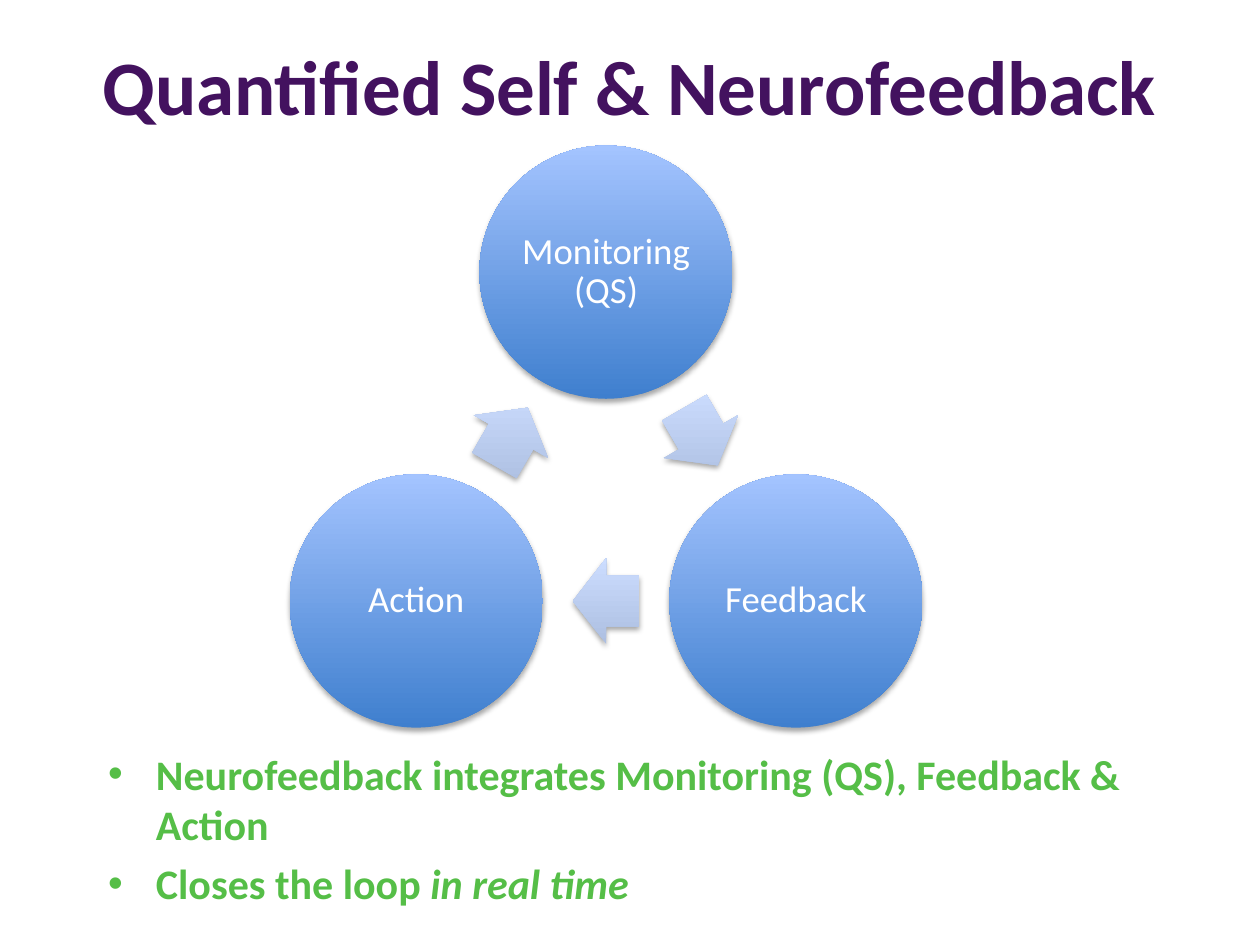
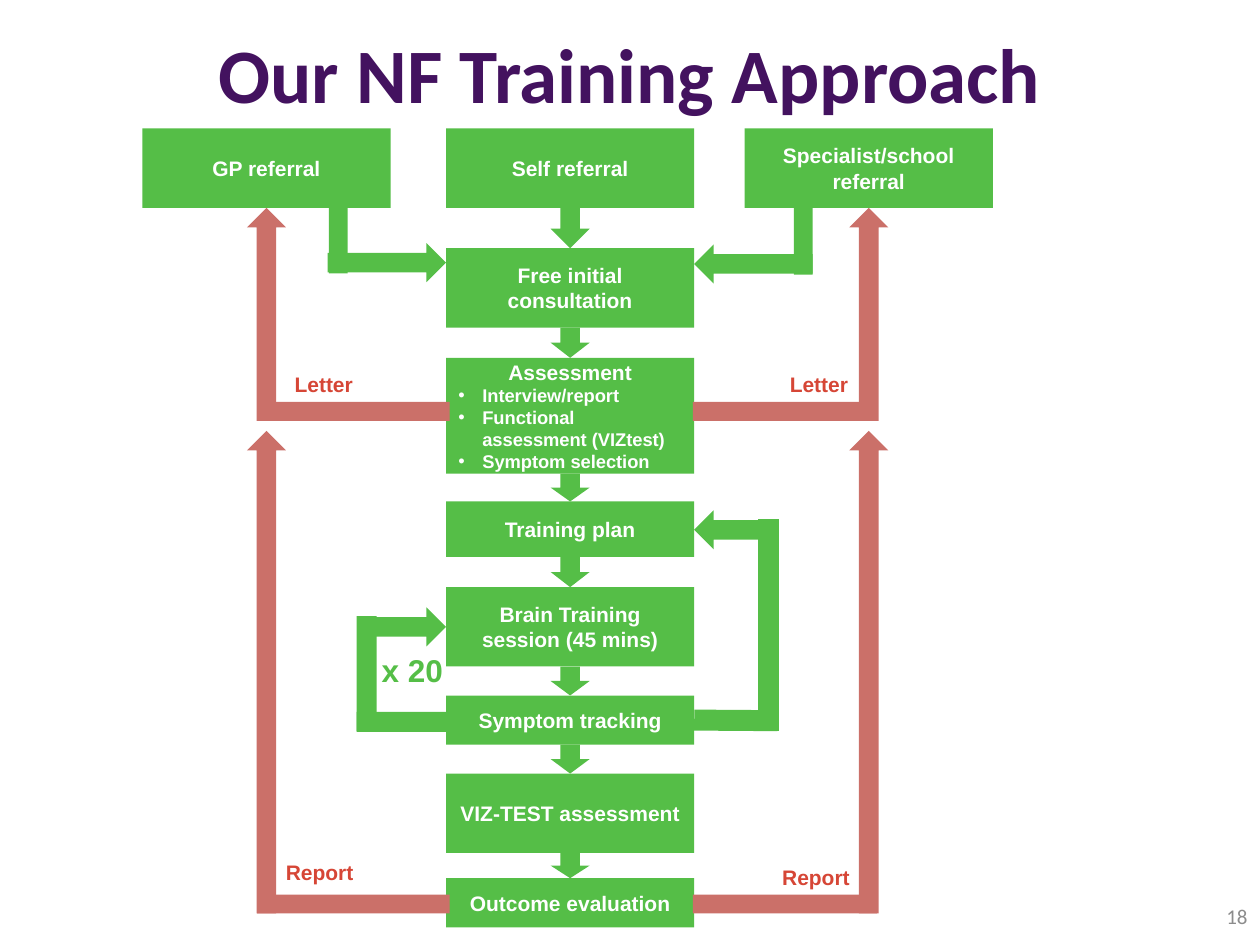
from math import cos, radians, sin

from lxml.etree import SubElement
from pptx import Presentation
from pptx.dml.color import RGBColor
from pptx.enum.shapes import MSO_CONNECTOR, MSO_SHAPE
from pptx.enum.text import MSO_ANCHOR, PP_ALIGN
from pptx.oxml.ns import qn
from pptx.util import Inches, Pt

COLUMNS, ROWS = 10, 7.5
CELL = Inches(1)
PURPLE, GREEN, WHITE, GREY = "43125F", "55BE47", "FFFFFF", "8C8C8C"
LOOP_RED, LABEL_RED = "CB7069", "D64636"
CIRCLE_GRADIENT = ("3F7FCE", "A4C4FF")
ARROW_GRADIENT = ("ADBFE1", "CCDDFF")
BOX_WIDTH, BOX_LEFT, BOX_RIGHT = 1.97, 3.54, 5.51
ARROW_WIDTH, BAR = 0.31, 0.15


def color(value):
    """Return the colour for a hex string."""
    return RGBColor.from_string(value)


def cells(*lengths):
    """Turn grid cells into slide lengths."""
    return [round(length * CELL) for length in lengths]


def style(paragraph, size, hex_color, font="Arial", bold=True, align=PP_ALIGN.CENTER):
    """Format one paragraph and its runs."""
    paragraph.alignment = align
    for run in paragraph.runs:
        run.font.name = font
        run.font.size = Pt(size)
        run.font.bold = bold
        run.font.color.rgb = color(hex_color)


def write(shape, lines, *look, **options):
    """Fill a shape with equally styled, vertically centred paragraphs."""
    frame = shape.text_frame
    frame.word_wrap = True
    frame.vertical_anchor = MSO_ANCHOR.MIDDLE
    frame.text = lines
    for paragraph in frame.paragraphs:
        style(paragraph, *look, **options)


def add_bullet(paragraph, indent):
    """Give a paragraph a hanging round bullet."""
    properties = paragraph._p.get_or_add_pPr()
    properties.set("marL", str(Inches(indent)))
    properties.set("indent", str(-Inches(indent)))
    SubElement(properties, qn("a:buFont")).set("typeface", "Arial")
    SubElement(properties, qn("a:buChar")).set("char", "•")


def add_text(slide, area, text, *look, **options):
    """Add a wrapped text box."""
    box = slide.shapes.add_textbox(*cells(*area))
    write(box, text, *look, **options)
    return box


def add_title(slide, text, top):
    """Add the slide title."""
    add_text(slide, (0.5, top, COLUMNS - 1, 1.25), text, 44, PURPLE, "Calibri")


def add_label(slide, area, text, size, hex_color):
    """Add a short label that keeps to one line."""
    label = add_text(slide, area, text, size, hex_color, align=PP_ALIGN.LEFT)
    label.text_frame.word_wrap = False
    label.text_frame.vertical_anchor = MSO_ANCHOR.TOP


def add_solid(slide, kind, area, hex_color=GREEN):
    """Add a flat preset shape without outline."""
    shape = slide.shapes.add_shape(kind, *cells(*area))
    shape.shadow.inherit = False
    shape.fill.solid()
    shape.fill.fore_color.rgb = color(hex_color)
    shape.line.fill.background()
    return shape


def add_glossy(slide, kind, center, size, gradient):
    """Add a preset shape with an upright gradient and a soft shadow."""
    (x, y), (width, height) = center, size
    area = cells(x - width / 2, y - height / 2, width, height)
    shape = slide.shapes.add_shape(kind, *area)
    shape.line.fill.background()
    shape.fill.gradient()
    shape.fill.gradient_angle = 90
    for stop, hex_color, position in zip(shape.fill.gradient_stops, gradient, (0, 1)):
        stop.color.rgb = color(hex_color)
        stop.position = position
    shape.shadow.inherit = False
    properties = shape._element.spPr
    properties.find(qn("a:gradFill")).set("rotWithShape", "0")
    shadow = SubElement(properties.find(qn("a:effectLst")), qn("a:outerShdw"),
                        blurRad=str(Pt(3.1)), dist=str(Pt(1.8)),
                        dir="5400000", rotWithShape="0")
    black = SubElement(shadow, qn("a:srgbClr"), val="000000")
    SubElement(black, qn("a:alpha"), val="35000")
    return shape


def add_cycle(slide, steps, center, radius):
    """Place circles on a ring with an arrow between neighbours."""
    def on_ring(angle, distance):
        return (center[0] + distance * cos(radians(angle)),
                center[1] + distance * sin(radians(angle)))

    turn = 360 / len(steps)
    for index, step in enumerate(steps):
        angle = index * turn - 90
        circle = add_glossy(slide, MSO_SHAPE.OVAL, on_ring(angle, radius),
                            (2.01, 2.01), CIRCLE_GRADIENT)
        write(circle, step, 21, WHITE, "Calibri", False)
        frame = circle.text_frame
        frame.margin_left = frame.margin_right = Inches(0.03)
        frame.margin_top = frame.margin_bottom = Inches(0.03)
        frame.paragraphs[0].line_spacing = 0.9
        middle = angle + turn / 2
        arrow = add_glossy(slide, MSO_SHAPE.RIGHT_ARROW, on_ring(middle, radius / 2),
                           (0.53, 0.68), ARROW_GRADIENT)
        arrow.adjustments[0], arrow.adjustments[1] = 0.6, 0.5
        arrow.rotation = middle + 90


def add_takeaways(slide):
    """Add the bulleted conclusions below the cycle."""
    box = add_text(slide, (0.76, 5.89, 9, 1.47),
                   "Neurofeedback integrates Monitoring (QS), Feedback & Action\n"
                   "Closes the loop ", 24, GREEN, "Calibri")
    box.text_frame.vertical_anchor = MSO_ANCHOR.TOP
    closing = box.text_frame.paragraphs[1]
    emphasis = closing.add_run()
    emphasis.text = "in real time"
    emphasis.font.italic = True
    closing.space_before = Pt(4.8)
    for paragraph in box.text_frame.paragraphs:
        add_bullet(paragraph, 0.38)
        style(paragraph, 24, GREEN, "Calibri", align=PP_ALIGN.LEFT)


def add_box(slide, text, top, height, left=BOX_LEFT):
    """Add a labelled flowchart box."""
    box = add_solid(slide, MSO_SHAPE.RECTANGLE, (left, top, BOX_WIDTH, height))
    write(box, text, 12, WHITE)
    return box


def add_flow(slide, steps):
    """Stack the boxes, joined by down arrows, and return them."""
    boxes = [add_box(slide, *step) for step in steps]
    left = BOX_LEFT + (BOX_WIDTH - ARROW_WIDTH) / 2
    for (_, top, height), (_, next_top, _) in zip(steps, steps[1:]):
        bottom = top + height
        add_solid(slide, MSO_SHAPE.DOWN_ARROW,
                  (left, bottom, ARROW_WIDTH, next_top - bottom))
    return boxes


def add_red_loop(slide, arrow_left, bar_left, bar_width, top, bottom):
    """Add a bar leaving the flow and a red arrow going up."""
    add_solid(slide, MSO_SHAPE.UP_ARROW,
              (arrow_left, top, ARROW_WIDTH, bottom - top), LOOP_RED)
    add_solid(slide, MSO_SHAPE.RECTANGLE,
              (bar_left, bottom - BAR, bar_width, BAR), LOOP_RED)


def add_thick_line(slide, start, end):
    """Add a thick green connector."""
    line = slide.shapes.add_connector(MSO_CONNECTOR.STRAIGHT, *cells(*start, *end))
    line.line.color.rgb = color(GREEN)
    line.line.width = Pt(12)
    SubElement(line._element.spPr, qn("a:effectLst"))
    return line


def build_cycle_slide(slide):
    """Build the neurofeedback cycle."""
    add_title(slide, "Quantified Self & Neurofeedback", 0.05)
    add_cycle(slide, ["Monitoring (QS)", "Feedback", "Action"], (4.81, 3.9), 1.74)
    add_takeaways(slide)


def build_training_slide(slide):
    """Build the training flowchart."""
    add_title(slide, "Our NF Training Approach", -0.05)
    add_box(slide, "GP referral", 1.02, 0.63, 1.13)
    add_box(slide, "Specialist/school\nreferral", 1.02, 0.63, 5.91)
    boxes = add_flow(slide, [
        ("Self referral", 1.02, 0.63),
        ("Free initial consultation", 1.97, 0.63),
        ("Assessment\nInterview/report\nFunctional assessment (VIZtest)\n"
         "Symptom selection", 2.84, 0.92),
        ("Training plan", 3.98, 0.44),
        ("Brain Training session (45 mins)", 4.66, 0.63),
        ("Symptom tracking", 5.52, 0.39),
        ("VIZ-TEST assessment", 6.14, 0.63),
        ("Outcome evaluation", 6.97, 0.39),
    ])
    for paragraph in boxes[2].text_frame.paragraphs[1:]:
        add_bullet(paragraph, 0.19)
        style(paragraph, 10.5, WHITE, align=PP_ALIGN.LEFT)

    right, left = MSO_SHAPE.RIGHT_ARROW, MSO_SHAPE.LEFT_ARROW
    for kind, x, y, length in ((right, 2.6, 1.93, 0.94), (left, BOX_RIGHT, 1.94, 0.94),
                               (right, 2.91, 4.82, 0.63), (left, BOX_RIGHT, 4.05, 0.63)):
        add_solid(slide, kind, (x, y, length, ARROW_WIDTH))
    for area in ((2.61, 1.55, BAR, 0.62), (6.3, 1.56, BAR, 0.62),
                 (2.83, 4.89, 0.16, 0.91), (2.83, 5.65, 0.72, 0.16)):
        add_solid(slide, MSO_SHAPE.RECTANGLE, area)
    return_line = add_thick_line(slide, (BOX_RIGHT, 5.72), (6.17, 5.72))
    return_line.begin_connect(boxes[5], 3)
    add_thick_line(slide, (6.1, 5.8), (6.1, 4.12))

    for top, bottom in ((1.65, 3.34), (3.42, 7.25)):
        add_red_loop(slide, 1.96, 2.04, 1.53, top, bottom)
        add_red_loop(slide, 6.74, 5.5, 1.46, top, bottom)
    for text, x, y, width in (("Letter", 2.24, 2.9, 0.67), ("Letter", 6.17, 2.9, 0.67),
                              ("Report", 2.17, 6.77, 0.74), ("Report", 6.11, 6.81, 0.74)):
        add_label(slide, (x, y, width, 0.3), text, 12, LABEL_RED)
    add_label(slide, (2.93, 5.12, 0.69, 0.4), "x 20", 18, GREEN)
    add_text(slide, (9.36, 7.07, 0.64, 0.4), "18", 12, GREY, "Calibri", False,
             align=PP_ALIGN.RIGHT)


def main():
    """Build and save the presentation."""
    presentation = Presentation()
    presentation.slide_width, presentation.slide_height = cells(COLUMNS, ROWS)
    for build in (build_cycle_slide, build_training_slide):
        build(presentation.slides.add_slide(presentation.slide_layouts[6]))
    presentation.save("out.pptx")


if __name__ == "__main__":
    main()
